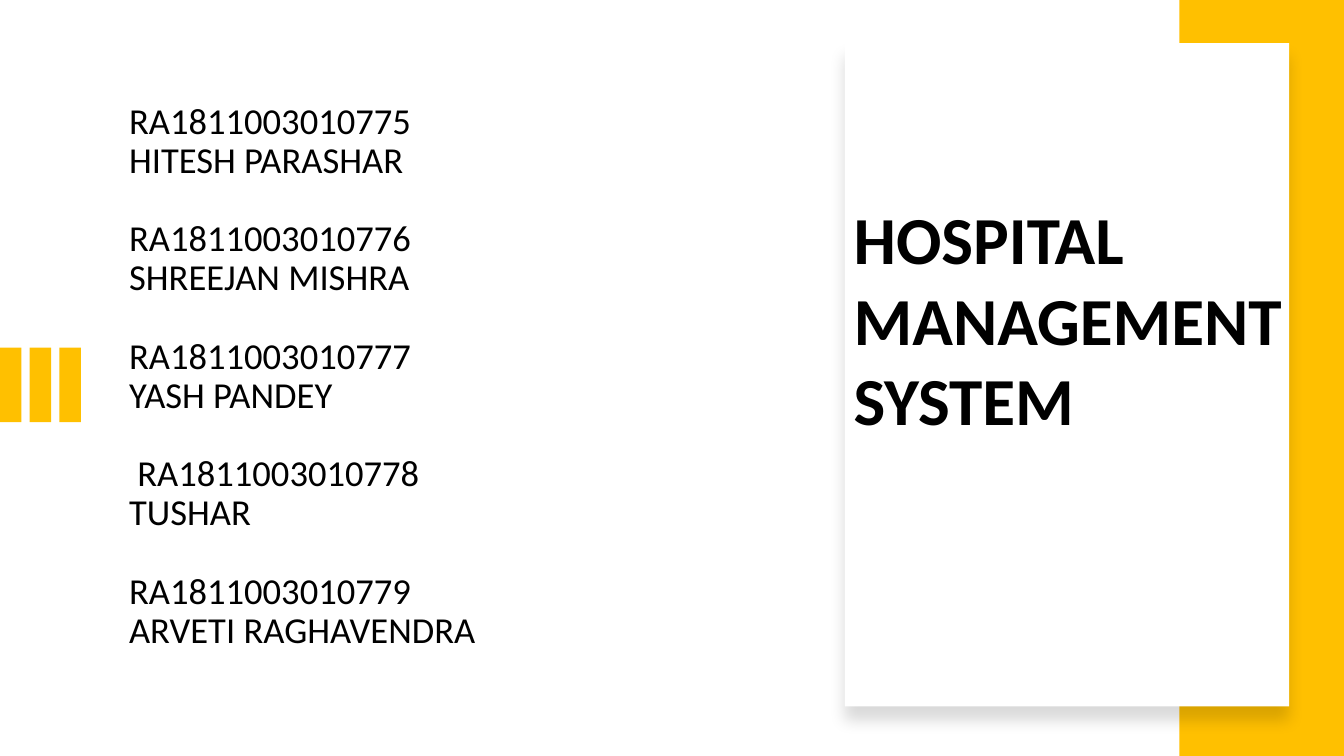
from dataclasses import dataclass

from lxml.etree import SubElement
from pptx import Presentation
from pptx.dml.color import RGBColor
from pptx.enum.shapes import MSO_SHAPE
from pptx.enum.text import MSO_ANCHOR, MSO_AUTO_SIZE, PP_ALIGN
from pptx.oxml.ns import qn
from pptx.util import Cm, Pt

AMBER = RGBColor(0xFF, 0xC0, 0x00)
WHITE = RGBColor(0xFF, 0xFF, 0xFF)
BLACK = RGBColor(0x00, 0x00, 0x00)
FONT_NAME = "Calibri"
SLIDE_WIDTH, SLIDE_HEIGHT = 33.87, 19.05
BAR_COUNT = 3
BAR_PITCH = 0.75


@dataclass(frozen=True)
class Box:
    """Position and size in centimetres."""
    left: float
    top: float
    width: float
    height: float

    def lengths(self):
        """Return left, top, width and height as lengths."""
        return Cm(self.left), Cm(self.top), Cm(self.width), Cm(self.height)


@dataclass(frozen=True)
class Student:
    """Registration number and name of a team member."""
    number: str
    name: str


STUDENTS = [
    Student("RA1811003010775", "HITESH PARASHAR"),
    Student("RA1811003010776", "SHREEJAN MISHRA"),
    Student("RA1811003010777", "YASH PANDEY"),
    Student(" RA1811003010778", "TUSHAR"),
    Student("RA1811003010779", "ARVETI RAGHAVENDRA"),
]


def add_rectangle(shapes, box: Box, color: RGBColor):
    """Add a flat rectangle without an outline."""
    shape = shapes.add_shape(MSO_SHAPE.RECTANGLE, *box.lengths())
    shape.shadow.inherit = False
    shape.fill.solid()
    shape.fill.fore_color.rgb = color
    shape.line.fill.background()
    return shape


def add_soft_shadow(shape) -> None:
    """Give a shape a faint shadow that falls straight down."""
    effects = shape.element.spPr.find(qn("a:effectLst"))
    shadow = SubElement(effects, qn("a:outerShdw"), blurRad=str(Pt(11)),
                        dist=str(Pt(10)), dir=str(90 * 60000),
                        algn="t", rotWithShape="0")
    color = SubElement(shadow, qn("a:srgbClr"), val=str(BLACK))
    SubElement(color, qn("a:alpha"), val="15000")


def place_text(placeholder, box: Box, anchor: MSO_ANCHOR):
    """Move a placeholder and return its prepared text frame."""
    (placeholder.left, placeholder.top,
     placeholder.width, placeholder.height) = box.lengths()
    text_frame = placeholder.text_frame
    text_frame.word_wrap = True
    text_frame.auto_size = MSO_AUTO_SIZE.NONE
    text_frame.vertical_anchor = anchor
    return text_frame


def add_run(paragraph, text: str, size: float, bold: bool = False) -> None:
    """Add one black run to a left-aligned paragraph."""
    paragraph.alignment = PP_ALIGN.LEFT
    run = paragraph.add_run()
    run.text = text
    run.font.name = FONT_NAME
    run.font.size = Pt(size)
    run.font.bold = bold
    run.font.color.rgb = BLACK


def fill_students(text_frame) -> None:
    """Write each student as a two-line paragraph, one line apart."""
    for index, student in enumerate(STUDENTS):
        paragraph = text_frame.add_paragraph() if index else text_frame.paragraphs[0]
        paragraph.line_spacing = 0.89
        paragraph.space_before = Pt(28.2 if index else 0)
        add_run(paragraph, student.number, 26.1)
        paragraph.add_line_break()
        add_run(paragraph, student.name, 26.1)


presentation = Presentation()
presentation.slide_width = Cm(SLIDE_WIDTH)
presentation.slide_height = Cm(SLIDE_HEIGHT)
slide = presentation.slides.add_slide(presentation.slide_layouts[0])
title, student_list = slide.placeholders

fill_students(place_text(student_list, Box(3, 2.72, 16.76, 13.56), MSO_ANCHOR.MIDDLE))

bar_group = slide.shapes.add_group_shape()
for bar_index in range(BAR_COUNT):
    add_rectangle(bar_group.shapes, Box(bar_index * BAR_PITCH, 8.76, 0.54, 1.88), AMBER)

add_rectangle(slide.shapes, Box(29.72, 0, 4.15, SLIDE_HEIGHT), AMBER)
card = add_rectangle(slide.shapes, Box(21.29, 1.09, 11.2, 16.71), WHITE)
add_soft_shadow(card)

title_frame = place_text(title, Box(21.26, 4.85, 11.73, 6.4), MSO_ANCHOR.TOP)
add_run(title_frame.paragraphs[0], "HOSPITAL MANAGEMENT SYSTEM", 48, bold=True)
card.element.addnext(title.element)

presentation.save("out.pptx")
